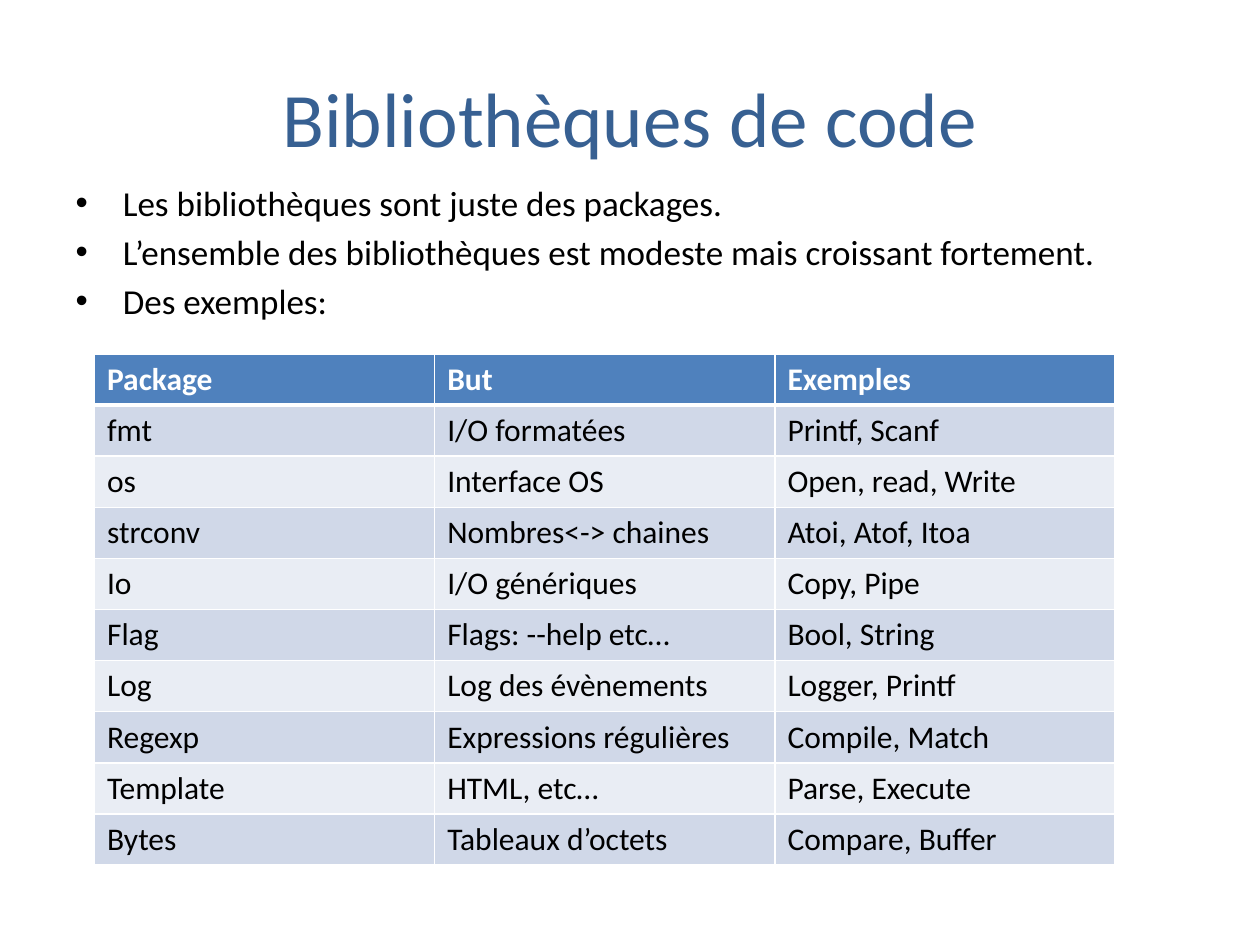
from typing import NamedTuple

from lxml.etree import SubElement
from pptx import Presentation
from pptx.dml.color import RGBColor
from pptx.enum.text import MSO_ANCHOR, PP_ALIGN
from pptx.oxml.ns import qn
from pptx.util import Inches, Pt


class Package(NamedTuple):
    name: str
    purpose: str
    examples: str


class Area(NamedTuple):
    left: float
    top: float
    width: float
    height: float


TITLE = "Bibliothèques de code"
POINTS = [
    "Les bibliothèques sont juste des packages.",
    "L’ensemble des bibliothèques est modeste mais croissant fortement.",
    "Des exemples:",
]
HEADER = Package("Package", "But", "Exemples")
PACKAGES = [
    Package("fmt", "I/O formatées", "Printf, Scanf"),
    Package("os", "Interface OS", "Open, read, Write"),
    Package("strconv", "Nombres<-> chaines", "Atoi, Atof, Itoa"),
    Package("Io", "I/O génériques", "Copy, Pipe"),
    Package("Flag", "Flags: --help etc…", "Bool, String"),
    Package("Log", "Log des évènements", "Logger, Printf"),
    Package("Regexp", "Expressions régulières", "Compile, Match"),
    Package("Template", "HTML, etc…", "Parse, Execute"),
    Package("Bytes", "Tableaux d’octets", "Compare, Buffer"),
]

TITLE_AREA = Area(0.5, 0.3, 9, 1.25)
BODY_AREA = Area(0.5, 1.39, 9, 5.31)
TABLE_AREA = Area(0.75, 2.81, 8.1, 4)

WHITE, BLACK = "FFFFFF", "000000"
HEADER_FILL = "4F81BD"
BAND_FILLS = ["D0D8E8", "E9EDF4"]
TITLE_FORMAT = {"name": "Calibri", "size": Pt(44)}
BODY_FORMAT = {"name": "Calibri", "size": Pt(20)}
HEADER_FORMAT = {"name": "Calibri", "size": Pt(18), "bold": True}
CELL_FORMAT = {**HEADER_FORMAT, "bold": False}


def color(value: str) -> RGBColor:
    return RGBColor.from_string(value)


def write(para, text: str, values: dict, text_color: str) -> None:
    span = para.add_run()
    span.text = text
    for key, value in values.items():
        setattr(span.font, key, value)
    span.font.color.rgb = color(text_color)


def place(box, area: Area) -> None:
    for key, value in area._asdict().items():
        setattr(box, key, Inches(value))


def border(cell, side: str, points: float) -> None:
    properties = cell._tc.get_or_add_tcPr()
    line = SubElement(properties, qn(f"a:ln{side}"), w=str(Pt(points)))
    fill = SubElement(line, qn("a:solidFill"))
    SubElement(fill, qn("a:srgbClr"), val=WHITE)


def fill_row(table, index: int, package: Package) -> None:
    is_header = index == 0
    for column, text in enumerate(package):
        cell = table.cell(index, column)
        # Borders come before the fill in the cell properties
        for side in "LRTB":
            thick = (is_header and side == "B") or (index == 1 and side == "T")
            border(cell, side, 3 if thick else 1)
        cell.fill.solid()
        fill = HEADER_FILL if is_header else BAND_FILLS[(index - 1) % 2]
        cell.fill.fore_color.rgb = color(fill)
        write(cell.text_frame.paragraphs[0], text,
              HEADER_FORMAT if is_header else CELL_FORMAT,
              WHITE if is_header else BLACK)


def main() -> None:
    deck = Presentation()
    deck.slide_width, deck.slide_height = Inches(10), Inches(7.5)
    page = deck.slides.add_slide(deck.slide_layouts[1])

    # Title
    title = page.shapes.title
    place(title, TITLE_AREA)
    title.text_frame.vertical_anchor = MSO_ANCHOR.MIDDLE
    heading = title.text_frame.paragraphs[0]
    heading.alignment = PP_ALIGN.CENTER
    write(heading, TITLE, TITLE_FORMAT, "376092")

    # Bulleted list, with the template's bullets and spacing
    body = page.placeholders[1]
    place(body, BODY_AREA)
    frame = body.text_frame
    for index, point in enumerate(POINTS):
        para = frame.add_paragraph() if index else frame.paragraphs[0]
        write(para, point, BODY_FORMAT, BLACK)

    # Table of packages
    rows = [HEADER, *PACKAGES]
    table = page.shapes.add_table(
        len(rows), len(HEADER), *map(Inches, TABLE_AREA)).table
    for index, package in enumerate(rows):
        fill_row(table, index, package)

    deck.save("out.pptx")


if __name__ == "__main__":
    main()
